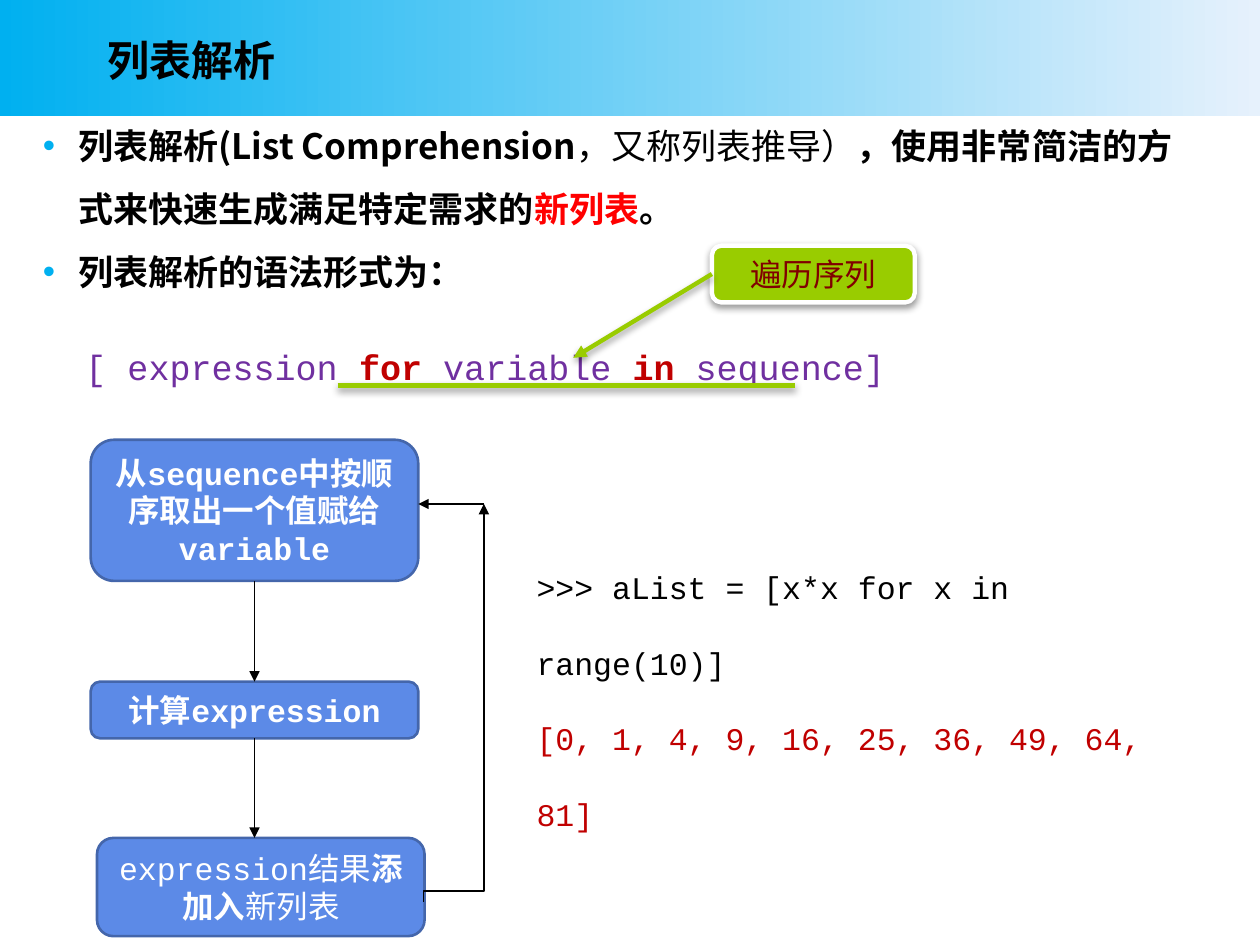
from dataclasses import dataclass

import pptx
import pptx.dml.color
import pptx.enum.dml
import pptx.enum.shapes
import pptx.enum.text
import pptx.oxml
import pptx.oxml.ns
import pptx.util

Inches = pptx.util.Inches
Pt = pptx.util.Pt
Align = pptx.enum.text.PP_ALIGN
Anchor = pptx.enum.text.MSO_ANCHOR
Shape = pptx.enum.shapes.MSO_SHAPE
Connector = pptx.enum.shapes.MSO_CONNECTOR
qn = pptx.oxml.ns.qn


@dataclass(frozen=True)
class Theme:
    """Colours, fonts and type sizes of the slide."""
    sans: str = "Noto Sans CJK SC"
    mono: str = "Courier New"
    title: int = 24
    body: int = 20
    label: int = 18
    black: str = "000000"
    white: str = "FFFFFF"
    sky: str = "00B0F0"
    pale: str = "E6F1FC"
    red: str = "FF0000"
    keyword: str = "C00000"
    purple: str = "7030A0"
    blue: str = "5C8AE7"
    outline: str = "4466AB"
    green: str = "99CC00"
    maroon: str = "800000"


THEME = Theme()


def rgb(value):
    """Return a colour object for a hex value."""
    return pptx.dml.color.RGBColor.from_string(value)


def add_xml(parent, markup):
    """Append one drawing element to a parent element."""
    namespace = pptx.oxml.ns.nsdecls("a")
    element = pptx.oxml.parse_xml(markup.replace("/>", f" {namespace}/>", 1)
                                  if markup.endswith("/>") and markup.count("<") == 1
                                  else markup.replace(">", f" {namespace}>", 1))
    parent.append(element)


def add_span(para, text, size, color, font=THEME.mono, bold=False):
    """Add one formatted run to a paragraph."""
    span = para.add_run()
    span.text = text
    span.font.size = Pt(size)
    span.font.bold = bold
    span.font.color.rgb = rgb(color)
    span.font.name = font
    add_xml(span.font._element, f'<a:ea typeface="{THEME.sans}"/>')


def add_shadow(item, alpha=40):
    """Give a shape or connector a soft shadow below it."""
    for old in item._element.spPr.findall(qn("a:effectLst")):
        item._element.spPr.remove(old)
    add_xml(item._element.spPr,
            f'<a:effectLst><a:outerShdw blurRad="{Pt(4.1)}" dist="{Pt(2)}" dir="5400000">'
            f'<a:srgbClr val="{THEME.black}"><a:alpha val="{alpha * 1000}"/></a:srgbClr>'
            '</a:outerShdw></a:effectLst>')


def place(item, box):
    """Move an item to a box of left, top, width and height."""
    item.left, item.top, item.width, item.height = map(Inches, box)


def add_line(page, start, end, color=THEME.black, width=0.75, arrow=True,
             kind=Connector.STRAIGHT):
    """Draw a flat connector between two points."""
    line = page.shapes.add_connector(kind, *map(Inches, start + end))
    line.line.color.rgb = rgb(color)
    line.line.width = Pt(width)
    if arrow:
        add_xml(line.line._get_or_add_ln(), '<a:tailEnd type="triangle"/>')
    add_xml(line._element.spPr, "<a:effectLst/>")
    return line


def add_box(page, box, spans, fill, outline, width):
    """Draw a rounded box with centred text runs."""
    shape = page.shapes.add_shape(Shape.ROUNDED_RECTANGLE, *map(Inches, box))
    shape.shadow.inherit = False
    shape.fill.solid()
    shape.fill.fore_color.rgb = rgb(fill)
    shape.line.color.rgb = rgb(outline)
    shape.line.width = Pt(width)
    frame = shape.text_frame
    frame.word_wrap = True
    frame.vertical_anchor = Anchor.MIDDLE
    para = frame.paragraphs[0]
    para.alignment = Align.CENTER
    for text, color, bold in spans:
        add_span(para, text, THEME.label, color, bold=bold)
    return shape


def add_header(page, box):
    """Place the gradient band and the title on it."""
    left, top, width, height = box
    band = page.shapes.add_shape(Shape.RECTANGLE, *map(Inches, box))
    band.shadow.inherit = False
    band.line.fill.background()
    band.fill.gradient()
    band.fill.gradient_angle = 0
    for stop, color in zip(band.fill.gradient_stops, (THEME.sky, THEME.pale)):
        stop.color.rgb = rgb(color)
    page.shapes._spTree.insert(2, band._element)
    title = page.shapes.title
    place(title, (left + 0.75, top + 0.14, 8.14, 0.67))
    title.text_frame.vertical_anchor = Anchor.MIDDLE
    para = title.text_frame.paragraphs[0]
    para.alignment = Align.LEFT
    add_span(para, "列表解析", THEME.title, THEME.black, THEME.sans, True)


def add_body(page, box):
    """Fill the body placeholder with the two bullets."""
    bullets = [
        [("列表解析(List Comprehension", THEME.black, True),
         ("，又称列表推导）", THEME.black, False),
         ("，使用非常简洁的方式来快速生成满足特定需求的", THEME.black, True),
         ("新列表", THEME.red, True),
         ("。", THEME.black, True)],
        [("列表解析的语法形式为：", THEME.black, True)],
    ]
    body = page.placeholders[1]
    place(body, box)
    frame = body.text_frame
    frame.auto_size = pptx.enum.text.MSO_AUTO_SIZE.NONE
    for index, spans in enumerate(bullets):
        para = frame.add_paragraph() if index else frame.paragraphs[0]
        para.line_spacing = 1.5
        para.space_before = Pt(0)
        properties = para._p.get_or_add_pPr()
        properties.set("marL", str(Inches(0.28)))
        properties.set("indent", str(-Inches(0.28)))
        add_xml(properties, f'<a:buClr><a:srgbClr val="{THEME.sky}"/></a:buClr>')
        add_xml(properties, '<a:buFont typeface="Arial"/>')
        add_xml(properties, '<a:buChar char="•"/>')
        for text, color, bold in spans:
            add_span(para, text, THEME.body, color, THEME.sans, bold)


def add_code(page, box, lines, size, spacing):
    """Place lines of code made of coloured runs."""
    frame = page.shapes.add_textbox(*map(Inches, box)).text_frame
    frame.word_wrap = True
    for index, spans in enumerate(lines):
        para = frame.add_paragraph() if index else frame.paragraphs[0]
        para.line_spacing = spacing
        for text, color, bold in spans:
            add_span(para, text, size, color, bold=bold)


def add_syntax(page, box):
    """Place the syntax form with its underline and callout."""
    left, top, width, height = box
    add_code(page, box, [[("[ expression ", THEME.purple, False),
                          ("for ", THEME.keyword, True),
                          ("variable ", THEME.purple, False),
                          ("in", THEME.keyword, True),
                          (" sequence]", THEME.purple, False)]], THEME.body, 1)
    callout = add_box(page, (left + 5.07, top - 0.74, 1.61, 0.45),
                      [("遍历序列", THEME.maroon, False)], THEME.green, THEME.white, 2.5)
    pointer = add_line(page, (left + 5.07, top - 0.51), (left + 3.97, top + 0.15),
                       THEME.green, 2.5)
    pointer.begin_connect(callout, 1)
    underline = add_line(page, (left + 2.1, top + 0.37), (left + 5.73, top + 0.37),
                         THEME.green, 2.5, arrow=False)
    add_shadow(callout)
    add_shadow(pointer)
    add_shadow(underline, 45)


def add_flow(page, box):
    """Draw the three steps, the arrows between them and the loop back."""
    left, top, width, height = box
    steps = [
        (0, 0, 1.12, [("从sequence中按顺序取出一个值赋给variable", THEME.white, True)]),
        (0, 1.92, 0.45, [("计算expression", THEME.white, True)]),
        (0.05, 3.16, 0.78, [("expression结果", THEME.white, False),
                            ("添加入", THEME.white, True),
                            ("新列表", THEME.white, False)]),
    ]
    take, compute, append = [
        add_box(page, (left + shift, top + drop, width, tall), spans,
                THEME.blue, THEME.outline, 1.5)
        for shift, drop, tall, spans in steps]
    middle = left + width / 2
    first = add_line(page, (middle, top + 1.12), (middle, top + 1.92))
    first.begin_connect(take, 2)
    first.end_connect(compute, 0)
    second = add_line(page, (middle, top + 2.37), (middle, top + 3.16))
    second.begin_connect(compute, 2)
    turn, back = left + 3.12, top + 0.51
    loop = add_line(page, (left + 4.46, top + 2.33), (left + 1.3, top + 1.85),
                    kind=Connector.ELBOW)
    loop._element.spPr.find(qn("a:xfrm")).set("rot", "5400000")
    guides = loop._element.spPr.find(qn("a:prstGeom")).find(qn("a:avLst"))
    add_xml(guides, '<a:gd name="adj1" fmla="val 2800"/>')
    add_line(page, (turn, back), (left + width, back))


def main():
    """Build the slide and save it."""
    deck = pptx.Presentation()
    deck.slide_width, deck.slide_height = Inches(10), Inches(7.5)
    page = deck.slides.add_slide(deck.slide_layouts[1])
    add_header(page, (0, 0, 10, 0.92))
    add_body(page, (0.24, 0.77, 9.25, 2.05))
    add_syntax(page, (0.58, 2.69, 8.22, 0.44))
    add_flow(page, (0.72, 3.49, 2.6, 3.94))
    add_code(page, (4.16, 4.16, 5.52, 1.23),
             [[(">>> aList = [x*x for x in range(10)]", THEME.black, False)],
              [("[0, 1, 4, 9, 16, 25, 36, 49, 64, 81]", THEME.keyword, False)]],
             THEME.label, 2)
    deck.save("out.pptx")


if __name__ == "__main__":
    main()
